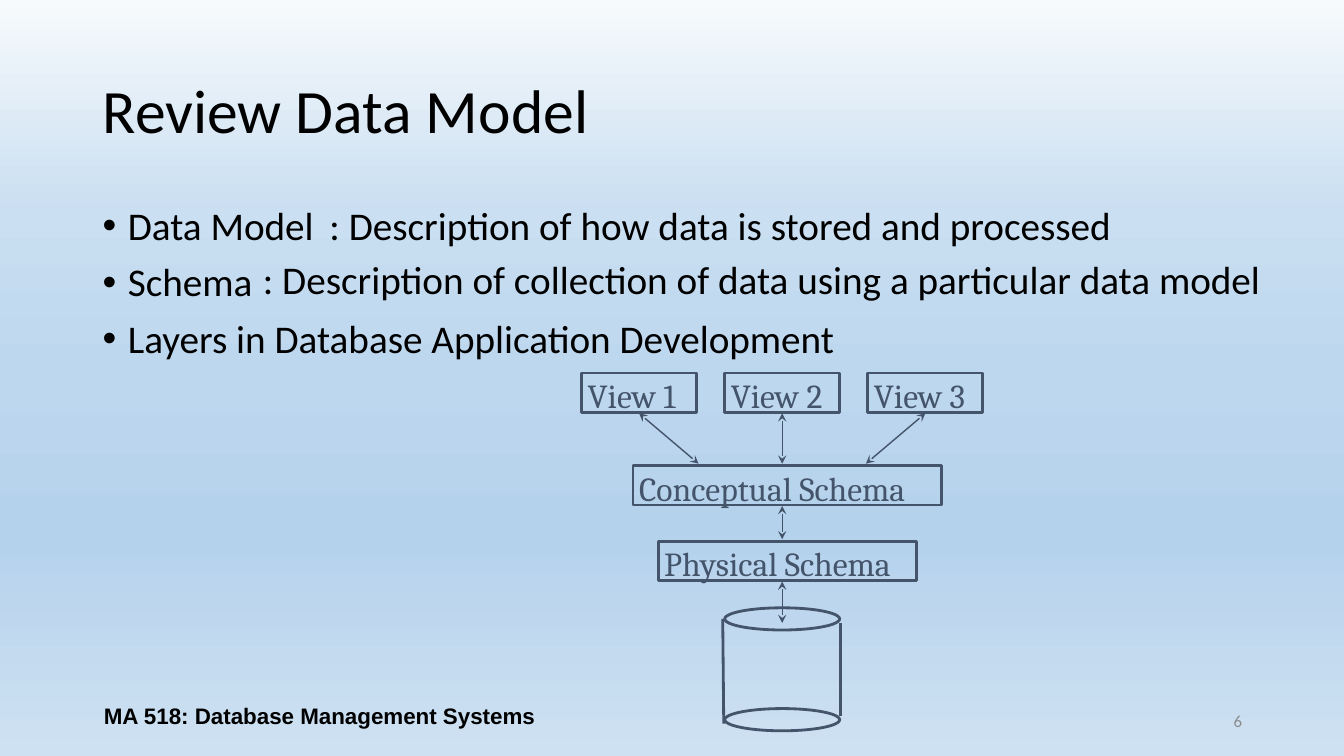
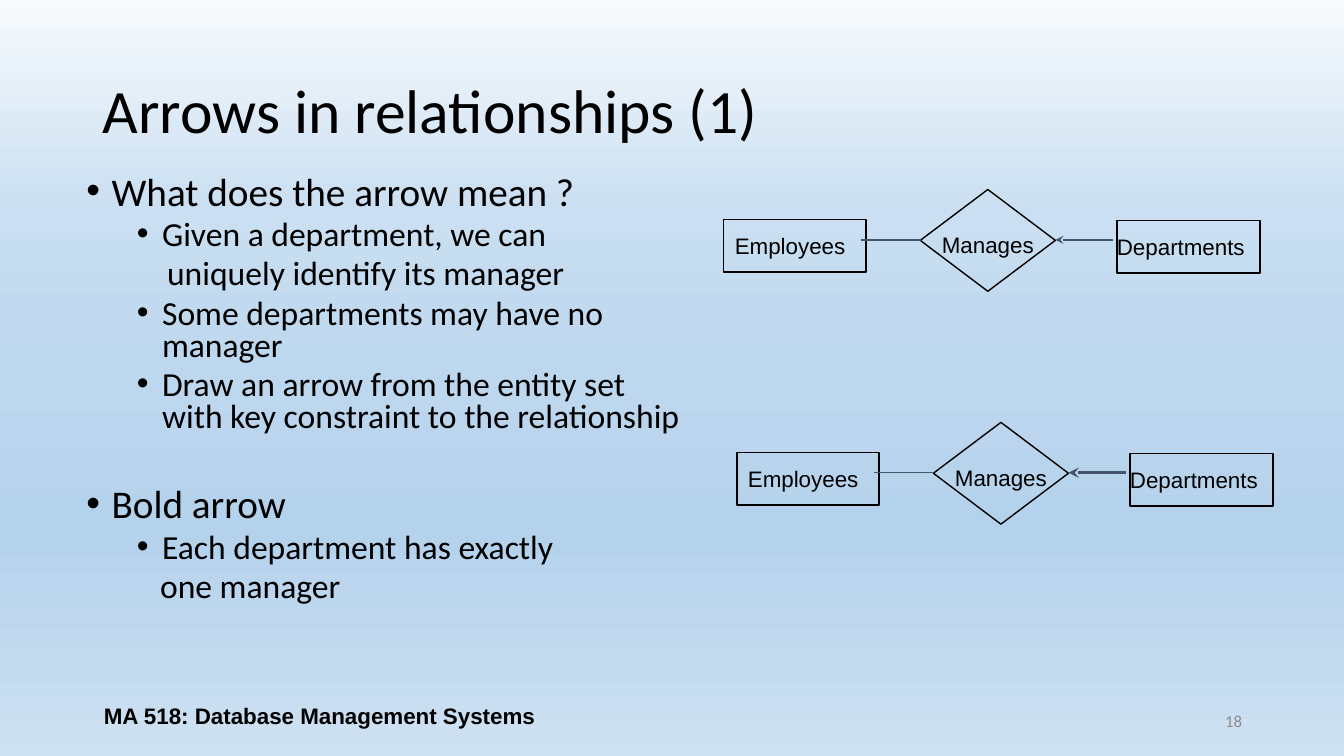
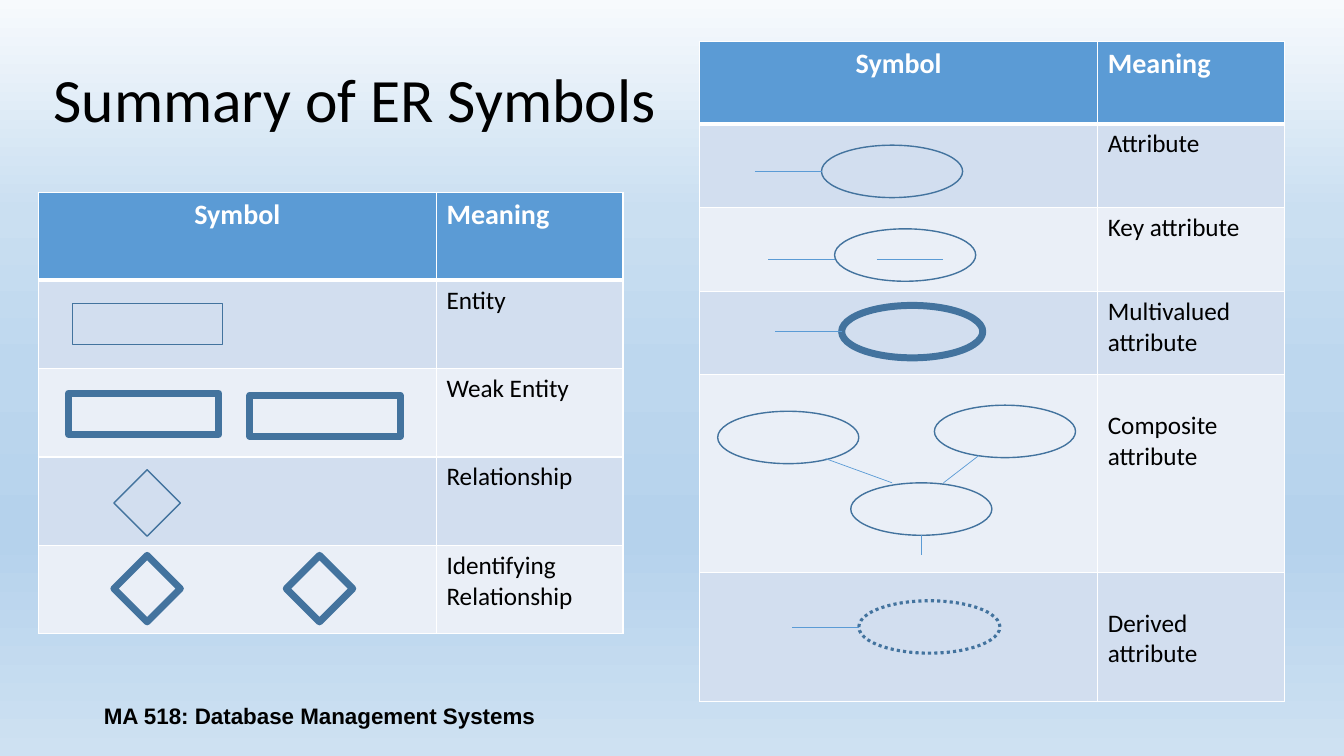
from lxml import etree
from pptx import Presentation
from pptx import util as u
from pptx.dml.color import RGBColor
from pptx.enum import dml, shapes, text
from pptx.oxml.ns import qn

# Grid: one column or row is a tenth of an inch
UNIT = u.Inches(0.1)
COLS, ROWS = 133.33, 75

BLACK = RGBColor(0x00, 0x00, 0x00)
WHITE = RGBColor(0xFF, 0xFF, 0xFF)
GREY = RGBColor(0x8C, 0x8C, 0x8C)
SLATE = RGBColor(0x44, 0x54, 0x6A)
BLUE = RGBColor(0x5B, 0x9B, 0xD5)
STEEL = RGBColor(0x43, 0x73, 0x9E)
BANDS = RGBColor(0xD2, 0xDE, 0xEF), RGBColor(0xEA, 0xEF, 0xF7)
SKY = {0: "F7FAFD", 28: "CADFF1", 49: "BDD7EE", 71: "B5D2EC", 100: "CEE1F2"}

RECT = shapes.MSO_SHAPE.RECTANGLE
OVAL = shapes.MSO_SHAPE.OVAL
DIAMOND = shapes.MSO_SHAPE.DIAMOND
LEFT, CENTER, RIGHT = text.PP_ALIGN.LEFT, text.PP_ALIGN.CENTER, text.PP_ALIGN.RIGHT
TOP, MIDDLE = text.MSO_ANCHOR.TOP, text.MSO_ANCHOR.MIDDLE

# Font formats
TITLE = dict(name="Calibri", size=44, color=BLACK)
BODY = dict(name="Calibri", size=28, color=BLACK)
SUB = dict(BODY, size=24)
CELL = dict(BODY, size=18, bold=False)
HEAD = dict(BODY, size=20, bold=True, color=WHITE)
FOOTER = dict(name="Arial", size=16, bold=True, color=BLACK)
NUMBER = dict(name="Calibri", size=12, color=GREY)
SCHEMA = dict(name="Cambria", size=24, color=SLATE)
ENTITY = dict(name="Arial", size=16, color=BLACK)


def grid(*steps):
    return [u.Emu(round(n * UNIT)) for n in steps]


def put(obj, **fmt):
    for key, value in fmt.items():
        setattr(obj, key, value)


def write(p, words, font, **para):
    """Fill one paragraph with one formatted run."""
    put(p, **para)
    r = p.add_run()
    r.text = words
    fmt = dict(font, size=u.Pt(font["size"]))
    r.font.color.rgb = fmt.pop("color")
    put(r.font, **fmt)


def indent(p, left, bullet):
    """Left indent in inches, with an optional hanging bullet."""
    pPr = p._p.get_or_add_pPr()
    pPr.set("marL", str(u.Inches(left)))
    pPr.set("indent", str(u.Inches(-0.25 if bullet else 0)))
    if bullet:
        etree.SubElement(pPr, qn("a:buFont"), typeface="Arial")
        etree.SubElement(pPr, qn("a:buChar"), char="•")


def textbox(s, at, words, font, anchor=TOP, wrap=True, **para):
    tf = s.shapes.add_textbox(*grid(*at)).text_frame
    put(tf, word_wrap=wrap, vertical_anchor=anchor)
    if not wrap:
        tf.auto_size = text.MSO_AUTO_SIZE.SHAPE_TO_FIT_TEXT
    write(tf.paragraphs[0], words, font, **para)


def bullets(s, at, items, spacing):
    """Items are (text, font, left indent, bulleted, points before)."""
    tf = s.shapes.add_textbox(*grid(*at)).text_frame
    tf.word_wrap = True
    for i, (words, font, left, bullet, before) in enumerate(items):
        p = tf.add_paragraph() if i else tf.paragraphs[0]
        write(p, words, font, line_spacing=spacing, space_before=u.Pt(before))
        indent(p, left, bullet)


def outline(s, kind, at, color, width, dash=None):
    sp = s.shapes.add_shape(kind, *grid(*at))
    sp.shadow.inherit = False
    sp.fill.background()
    sp.line.color.rgb = color
    sp.line.width = u.Pt(width)
    if dash:
        sp.line.dash_style = dash
    return sp


def label(sp, words, font, anchor, inset=0, drop=0, align=LEFT, wrap=True):
    tf = sp.text_frame
    left, top = grid(inset, drop)
    put(tf, margin_left=left, margin_top=top, margin_right=0, margin_bottom=0,
        vertical_anchor=anchor, word_wrap=wrap)
    write(tf.paragraphs[0], words, font, alignment=align)


def line(s, x1, y1, x2, y2, color, width, ends=()):
    cx = s.shapes.add_connector(shapes.MSO_CONNECTOR.STRAIGHT, *grid(x1, y1, x2, y2))
    cx.line.color.rgb = color
    cx.line.width = u.Pt(width)
    spPr = cx.element.spPr
    for end in ends:
        etree.SubElement(spPr.find(qn("a:ln")), qn(f"a:{end}"), type="stealth")
    etree.SubElement(spPr, qn("a:effectLst"))


def cell_borders(cell, header_above, header):
    tcPr = cell._tc.get_or_add_tcPr()
    widths = dict(lnL=1, lnR=1, lnT=3 if header_above else 1, lnB=3 if header else 1)
    for i, (side, width) in enumerate(widths.items()):
        ln = etree.Element(qn(f"a:{side}"), w=str(u.Pt(width)))
        fill = etree.SubElement(ln, qn("a:solidFill"))
        etree.SubElement(fill, qn("a:srgbClr"), val=str(WHITE))
        tcPr.insert(i, ln)


def symbol_table(s, left, top, heights, meanings):
    """Symbol/Meaning table; each meaning is (text, top margin in rows)."""
    widths = 39.5, 18.5
    frame = s.shapes.add_table(len(heights), 2,
                               *grid(left, top, sum(widths), sum(heights)))
    table = frame.table
    for col, width in zip(table.columns, grid(*widths)):
        col.width = width
    for i, height in enumerate(grid(*heights)):
        table.rows[i].height = height
        for cell in table.rows[i].cells:
            cell.fill.solid()
            cell.fill.fore_color.rgb = BANDS[(i - 1) % 2] if i else BLUE
            cell_borders(cell, i == 1, i == 0)
    for j, (words, align) in enumerate([("Symbol", CENTER), ("Meaning", LEFT)]):
        write(table.cell(0, j).text_frame.paragraphs[0], words, HEAD, alignment=align)
    for i, (words, margin) in enumerate(meanings, 1):
        cell = table.cell(i, 1)
        cell.margin_top = grid(margin)[0]
        write(cell.text_frame.paragraphs[0], words, CELL)


def sky_background(prs):
    """Vertical gradient on the master, shared by all slides."""
    fill = prs.slide_master.background.fill
    fill.gradient()
    fill.gradient_angle = 270
    stops = prs.slide_master.element.xpath(".//p:bg//a:gsLst")[0]
    for gs in list(stops):
        stops.remove(gs)
    for share, color in SKY.items():
        gs = etree.SubElement(stops, qn("a:gs"), pos=str(share * 1000))
        etree.SubElement(gs, qn("a:srgbClr"), val=color)


def new_slide(prs, title, number=None, at=(9.2, 4)):
    s = prs.slides.add_slide(prs.slide_layouts[5])
    left, top, width, height = grid(*at, 115, 14.5)
    put(s.shapes.title, left=left, top=top, width=width, height=height)
    tf = s.shapes.title.text_frame
    put(tf, vertical_anchor=MIDDLE, word_wrap=True)
    write(tf.paragraphs[0], title, TITLE, alignment=LEFT, line_spacing=0.9)
    textbox(s, (9.2, 69, 45, 4), "MA 518: Database Management Systems", FOOTER,
            MIDDLE, alignment=CENTER)
    if number:
        textbox(s, (94.2, 69.5, 30, 4), number, NUMBER, MIDDLE, alignment=RIGHT)
    return s


def data_model(prs):
    s = new_slide(prs, "Review Data Model", "6")
    terms = "Data Model", "Schema", "Layers in Database Application Development"
    bullets(s, (9.2, 20, 115, 47.6), [(t, BODY, 0.25, True, 10) for t in terms], 0.9)
    for at, words in (
            ((31.7, 20, 81.9, 5.3), ": Description of how data is stored and processed"),
            ((25.1, 25.4, 103, 5.3),
             ": Description of collection of data using a particular data model")):
        textbox(s, at, words, BODY, wrap=False, line_spacing=0.9, space_before=u.Pt(10))

    # Schema layers, centred on one axis
    axis, pitch = 77.6, 14.2
    boxes = [(f"View {i + 2}", axis + i * pitch, 37, 11.4) for i in (-1, 0, 1)]
    boxes += [("Conceptual Schema", 78.1, 46.2, 30.6), ("Physical Schema", 78.1, 53.7, 25.6)]
    for words, middle, top, width in boxes:
        sp = outline(s, RECT, (middle - width / 2, top, width, 3.9), SLATE, 2)
        label(sp, words, SCHEMA, TOP, inset=0.6, drop=0.2)

    # Disk
    for top in (60.3, 70.3):
        outline(s, OVAL, (71.9, top, 11.4, 2.2), SLATE, 2)
    line(s, 71.7, 61.4, 71.8, 71.8, SLATE, 2)
    line(s, 83.4, 61.8, 83.4, 71, SLATE, 2)

    # Arrows between layers
    arrows = [(axis + i * pitch, 41, axis + i * 8.3, 46) for i in (-1, 0, 1)]
    arrows += [(axis, 50.2, axis, 53.5), (axis, 57.7, axis, 61.8)]
    for ends in arrows:
        line(s, *ends, SLATE, 1, ("headEnd", "tailEnd"))


def manages_diagram(s, left, top, arrow_width):
    for words, dx, dy, width, inset in (("Employees", 0, 3, 14.1, 1.1),
                                        ("Departments", 39, 3.1, 14.2, 0)):
        sp = outline(s, RECT, (left + dx, top + dy, width, 5.2), BLACK, 1)
        label(sp, words, ENTITY, MIDDLE, inset)
    sp = outline(s, DIAMOND, (left + 19.5, top, 13.4, 10.1), BLACK, 1)
    label(sp, "Manages", ENTITY, MIDDLE, drop=0.9, align=CENTER, wrap=False)
    y = top + 5
    line(s, left + 13.6, y, left + 19.6, y, SLATE, 1)
    line(s, left + 38.6, y, left + 32.9, y, SLATE, arrow_width, ("tailEnd",))


def relationship_arrows(prs):
    s = new_slide(prs, "Arrows in relationships (1)", "18")
    bullets(s, (7.6, 17, 61.6, 47.6), [
        ("What does the arrow mean ?", BODY, 0.25, True, 10),
        ("Given a department, we can", SUB, 0.75, True, 5),
        ("uniquely identify its manager", SUB, 0.8, False, 5),
        ("Some departments may have no manager", SUB, 0.75, True, 5),
        ("Draw an arrow from the entity set with key constraint to the relationship",
         SUB, 0.75, True, 5),
        ("Bold arrow", BODY, 0.25, True, 38),
        ("Each department has exactly", SUB, 0.75, True, 5),
        ("one manager", SUB, 0.73, False, 5),
    ], 0.8)
    manages_diagram(s, 71.8, 18.8, 1)
    manages_diagram(s, 73.1, 41.9, 2.5)


def attribute(s, left, top, width=1, stem=None, dash=None):
    """Ellipse with an optional stem on its left, at the given row."""
    outline(s, OVAL, (left, top, 14, 5.2), STEEL, width, dash)
    if stem:
        line(s, left - 6.6, stem, left, stem, BLUE, 0.5)


def er_symbols(prs):
    s = new_slide(prs, "Summary of ER Symbols", at=(4.3, 2.9))

    # Entities and relationships
    symbol_table(s, 3.8, 19.1, [8.7] + [8.77] * 4, [
        ("Entity", 0.5), ("Weak Entity", 0.5), ("Relationship", 0.5),
        ("Identifying Relationship", 0.5)])
    for left, top, width in ((7.2, 30.1, 1), (6.8, 39, 5), (24.8, 39.2, 5)):
        outline(s, RECT, (left, top, 14.9, 4.1), STEEL, width)
    for left, top, width in ((11.3, 46.6, 1), (11.3, 55.1, 5), (28.4, 55.1, 5)):
        outline(s, DIAMOND, (left, top, 6.6, 6.6), STEEL, width)

    # Attributes
    symbol_table(s, 69.4, 4.1, [8.2, 8.3, 8.3, 8.3, 19.6, 12.8], [
        ("Attribute", 0.5), ("Key attribute", 0.5), ("Multivalued attribute", 0.5),
        ("Composite attribute", 3.55), ("Derived attribute", 3.55)])
    attribute(s, 81.5, 14.4, stem=17)
    attribute(s, 82.8, 22.7, stem=25.7)
    line(s, 87, 25.7, 93.6, 25.7, BLUE, 0.5)
    attribute(s, 83.5, 30.3, width=5, stem=32.9)
    for left, top in ((84.4, 47.9), (92.7, 40.2), (71.2, 40.8)):
        attribute(s, left, top)
    for ends in ((91.4, 53.1, 91.4, 55.1), (93.6, 47.9, 97.1, 45.2),
                 (81.9, 45.5, 88.5, 47.9)):
        line(s, *ends, BLUE, 0.5)
    attribute(s, 85.2, 59.6, width=2.25, stem=62.2, dash=dml.MSO_LINE.ROUND_DOT)


def main():
    prs = Presentation()
    prs.slide_width, prs.slide_height = grid(COLS, ROWS)
    sky_background(prs)
    data_model(prs)
    relationship_arrows(prs)
    er_symbols(prs)
    prs.save("out.pptx")


if __name__ == "__main__":
    main()
